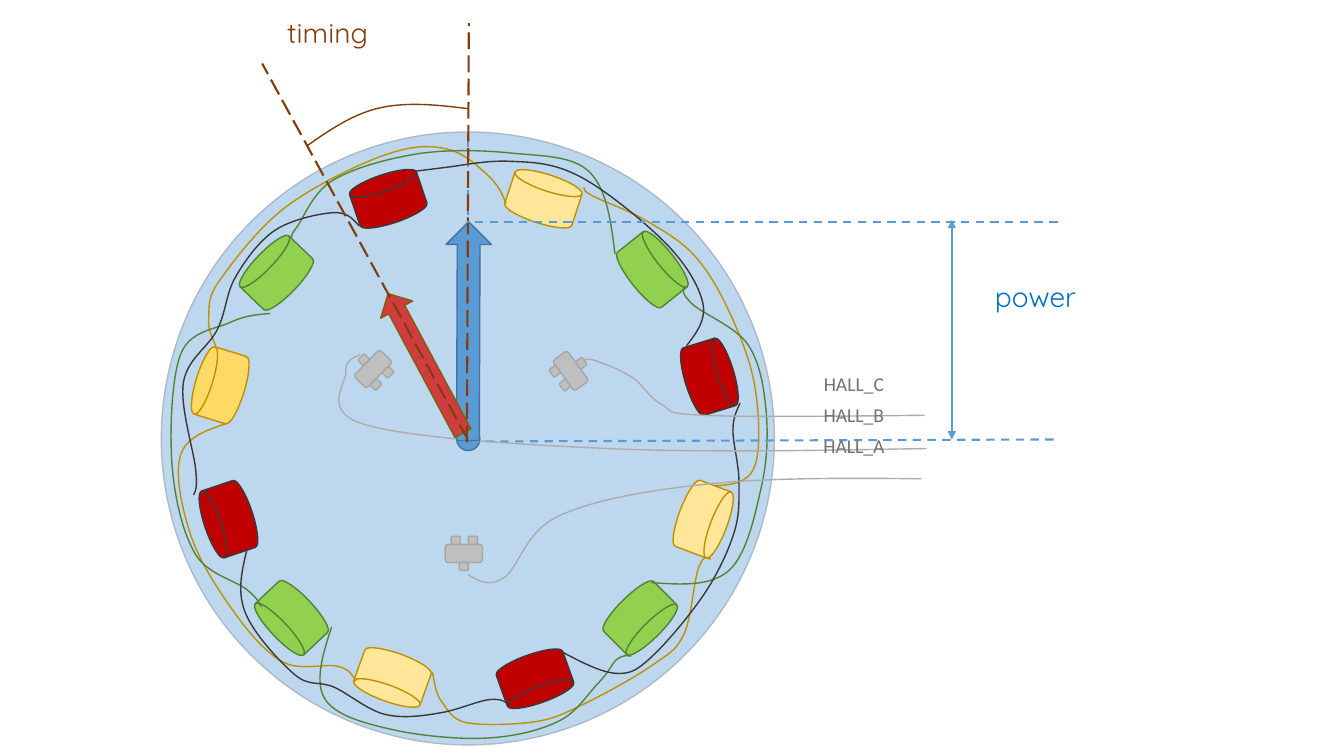
"""Build a slide showing motor coils, Hall sensors and the timing and power vectors."""
from math import cos, radians, sin

from pptx import Presentation, util as u
from pptx.dml.color import RGBColor
from pptx.enum import dml, shapes, text
from pptx.oxml import ns, xmlchemy as x

PX = u.Inches(1) // 100
SHAPE = shapes.MSO_SHAPE
DASH, LONG_DASH = dml.MSO_LINE.DASH, dml.MSO_LINE.LONG_DASH

STATOR = RGBColor.from_string("BDD7EE")
STATOR_EDGE = RGBColor.from_string("ADB9CA")
RED = RGBColor.from_string("C00000")
BLACK = RGBColor.from_string("3B3838")
LIME = RGBColor.from_string("92D050")
GREEN = RGBColor.from_string("548235")
CREAM = RGBColor.from_string("FFE699")
AMBER = RGBColor.from_string("FFD966")
GOLD = RGBColor.from_string("BF9000")
BLUE = RGBColor.from_string("5B9BD5")
BLUE_EDGE = RGBColor.from_string("43739E")
VECTOR = RGBColor.from_string("CF3D40")
VECTOR_EDGE = RGBColor.from_string("806000")
BROWN = RGBColor.from_string("843C0B")
POWER = RGBColor.from_string("0070C0")
SENSOR = RGBColor.from_string("BFBFBF")
SENSOR_EDGE = RGBColor.from_string("A6A6A6")
SIGNAL = RGBColor.from_string("AFABAB")
LABEL = RGBColor.from_string("767171")

PHASES = [GOLD, GREEN, BLACK]
COIL_FILLS = [CREAM, LIME, RED] * 3 + [AMBER, LIME, RED]
COIL_ANGLES = [288, 318, 346, 19, 46, 74, 107, 134, 161, 192, 221, 252]
COIL_TILTS = [288.1, 321.5, 342.8, 20.7, 45.3, 70.3, 109.8, 136.6, 161.4, 197.2, 223.9, 251.3]

WINDINGS = {
    GOLD: [
        (579, 186, 589, 195, 641, 219, 690, 255, 725, 313, 749, 385, 748, 464, 709, 482),
        (705, 555, 693, 563, 678, 630, 647, 660, 576, 700, 531, 716, 463, 717, 438, 696, 429, 667),
        (353, 676, 335, 661, 281, 657, 232, 607, 190, 533, 179, 452, 225, 420),
        (214, 343, 207, 315, 218, 278, 284, 205, 384, 153, 444, 148, 484, 174, 502, 202),
    ],
    GREEN: [
        (679, 284, 686, 301, 742, 342, 760, 409, 755, 484, 723, 566, 646, 578),
        (626, 651, 612, 654, 594, 677, 555, 715, 486, 732, 390, 724, 322, 693, 329, 622),
        (259, 602, 245, 585, 194, 550, 171, 465, 179, 352, 228, 320, 268, 311),
        (290, 235, 294, 226, 330, 179, 412, 153, 508, 152, 585, 171, 610, 252),
    ],
    BLACK: [
        (411, 170, 443, 166, 505, 160, 573, 174, 659, 240, 697, 300, 681, 343),
        (734, 400, 727, 427, 733, 478, 728, 529, 696, 593, 647, 651, 611, 668, 558, 647),
        (505, 699, 486, 694, 438, 707, 383, 709, 332, 682, 292, 669, 243, 607, 245, 545),
        (192, 491, 194, 465, 182, 379, 215, 328, 233, 276, 272, 229, 330, 211, 356, 224),
    ],
}

SIGNALS = [
    (580, 357, 594, 359, 628, 375, 656, 401, 697, 412, 917, 412),
    (357, 352, 343, 369, 361, 421, 603, 445, 919, 445),
    (464, 570, 500, 573, 554, 512, 704, 480, 914, 475),
]
TIMING_ARC = (304, 145, 377, 107, 465, 108)


def add_solid(grp, kind, box, fill, edge, rotation=0):
    """Add a filled preset shape with a thin outline."""
    sp = grp.add_shape(kind, *(round(v * PX) for v in box))
    sp.shadow.inherit = False
    sp.rotation = rotation
    sp.fill.solid()
    sp.fill.fore_color.rgb = fill
    sp.line.color.rgb = edge
    sp.line.width = u.Pt(1)


def add_coils(grp, cx, cy, radius, w, h):
    """Add the coils round a ring, with the three phases in turn."""
    for i, (angle, tilt) in enumerate(zip(COIL_ANGLES, COIL_TILTS)):
        left = cx + radius * cos(radians(angle)) - w / 2
        top = cy + radius * sin(radians(angle)) - h / 2
        add_solid(grp, SHAPE.FLOWCHART_DIRECT_ACCESS_STORAGE, (left, top, w, h),
                  COIL_FILLS[i], PHASES[i % len(PHASES)], tilt)


def add_sensor(grp, cx, cy, angle):
    """Add a Hall sensor: a body with three legs turned about its centre."""
    c, s = cos(radians(angle)), sin(radians(angle))
    for dx, dy, w, h in [(0, 0, 37, 18), (-9, 13, 9, 8), (8, 13, 9, 8), (0, -13, 9, 8)]:
        box = cx + dx * c - dy * s - w / 2, cy + dx * s + dy * c - h / 2, w, h
        add_solid(grp, SHAPE.ROUNDED_RECTANGLE, box, SENSOR, SENSOR_EDGE, angle)


def midpoint(a, b):
    """Return the point halfway between two points."""
    return (a[0] + b[0]) / 2, (a[1] + b[1]) / 2


def smooth_controls(knots):
    """Return cubic control pairs whose tangents follow the neighbouring knots."""
    before, after = [], []
    for a, b, c in zip(knots, knots[1:], knots[2:]):
        dx, dy = (c[0] - a[0]) / 6, (c[1] - a[1]) / 6
        before.append((b[0] - dx, b[1] - dy))
        after.append((b[0] + dx, b[1] + dy))
    after.insert(0, midpoint(knots[0], before[0]))
    before.append(midpoint(after[-1], knots[-1]))
    return list(zip(after, before))


def add_curve(grp, coords, color):
    """Add an open smooth curve through the given knots."""
    knots = list(zip(coords[::2], coords[1::2]))
    pts = []
    for (first, second), knot in zip(smooth_controls(knots), knots[1:]):
        pts += [first, second, knot]
    builder = grp.build_freeform(*knots[0], scale=PX)
    builder.add_line_segments(pts, close=False)
    sp = builder.convert_to_shape()
    sp.shadow.inherit = False
    sp.fill.background()
    sp.line.color.rgb = color
    sp.line.width = u.Pt(1)
    outline = next(sp._element.iter(ns.qn("a:path")))
    steps = outline.findall(ns.qn("a:lnTo"))
    for i in range(0, len(steps), 3):
        curve = x.OxmlElement("a:cubicBezTo")
        for step in steps[i:i + 3]:
            curve.append(step[0])
            outline.remove(step)
        outline.append(curve)


def add_line(grp, ends, color, width=1.5, dash=None, arrows=False):
    """Add a straight line, dashed or with an arrowhead at both ends."""
    cn = grp.add_connector(shapes.MSO_CONNECTOR.STRAIGHT, *(v * PX for v in ends))
    for name, value in {"width": u.Pt(width), "dash_style": dash}.items():
        setattr(cn.line, name, value)
    cn.line.color.rgb = color
    if arrows:
        for tag in ("a:headEnd", "a:tailEnd"):
            end = x.OxmlElement(tag)
            end.set("type", "triangle")
            cn.line._get_or_add_ln().append(end)
    cn._element.spPr.append(x.OxmlElement("a:effectLst"))


def add_label(grp, words, box, color, font, size, align=None, wrap=True):
    """Add a one-line text box."""
    tf = grp.add_textbox(*(v * PX for v in box)).text_frame
    tf.word_wrap = wrap
    tf.auto_size = text.MSO_AUTO_SIZE.SHAPE_TO_FIT_TEXT
    p = tf.paragraphs[0]
    p.alignment = align
    r = p.add_run()
    r.text = words
    r.font.color.rgb = color
    for name, value in {"name": font, "size": u.Pt(size)}.items():
        setattr(r.font, name, value)


def main():
    """Draw the motor and save the presentation."""
    prs = Presentation()
    prs.slide_width, prs.slide_height = 1333 * PX, 750 * PX
    s = prs.slides.add_slide(prs.slide_layouts[6])
    grp = s.shapes.add_group_shape().shapes

    add_solid(grp, SHAPE.OVAL, (160, 131, 608, 608), STATOR, STATOR_EDGE)
    add_coils(grp, 462, 434, 249, 49, 70)
    add_solid(grp, SHAPE.FLOWCHART_CONNECTOR, (453, 424, 23, 23), BLUE, BLUE_EDGE)
    for color, wires in WINDINGS.items():
        for wire in wires:
            add_curve(grp, wire, color)

    add_line(grp, (464, 131, 464, 436), BLUE, 1, DASH)
    add_line(grp, (1045, 436, 464, 438), BLUE, dash=DASH)
    for sensor in [(370, 366, 314.4), (460, 549, 180), (566, 368, 53.8)]:
        add_sensor(grp, *sensor)
    for signal in SIGNALS:
        add_curve(grp, signal, SIGNAL)
    for i, phase in enumerate("CBA"):
        add_label(grp, f"HALL_{phase}", (777, 364 + 31 * i, 140, 58), LABEL, "Calibri", 14,
                  text.PP_ALIGN.CENTER, False)

    add_solid(grp, SHAPE.DOWN_ARROW, (442, 220, 45, 217), BLUE, BLUE_EDGE, 180.2)
    add_solid(grp, SHAPE.DOWN_ARROW, (404, 282, 36, 157), VECTOR, VECTOR_EDGE, 151.8)
    add_line(grp, (464, 436, 260, 63), BROWN, dash=LONG_DASH)
    add_line(grp, (463, 439, 465, 23), BROWN, dash=LONG_DASH)
    add_label(grp, "timing", (275, 10, 302, 76), BROWN, "Quicksand", 20)
    add_curve(grp, TIMING_ARC, BROWN)
    add_line(grp, (1049, 220, 463, 220), BLUE, dash=DASH)
    add_line(grp, (944, 218, 944, 436), BLUE, arrows=True)
    add_label(grp, "power", (977, 272, 302, 76), POWER, "Quicksand", 20)
    prs.save("out.pptx")


if __name__ == "__main__":
    main()
